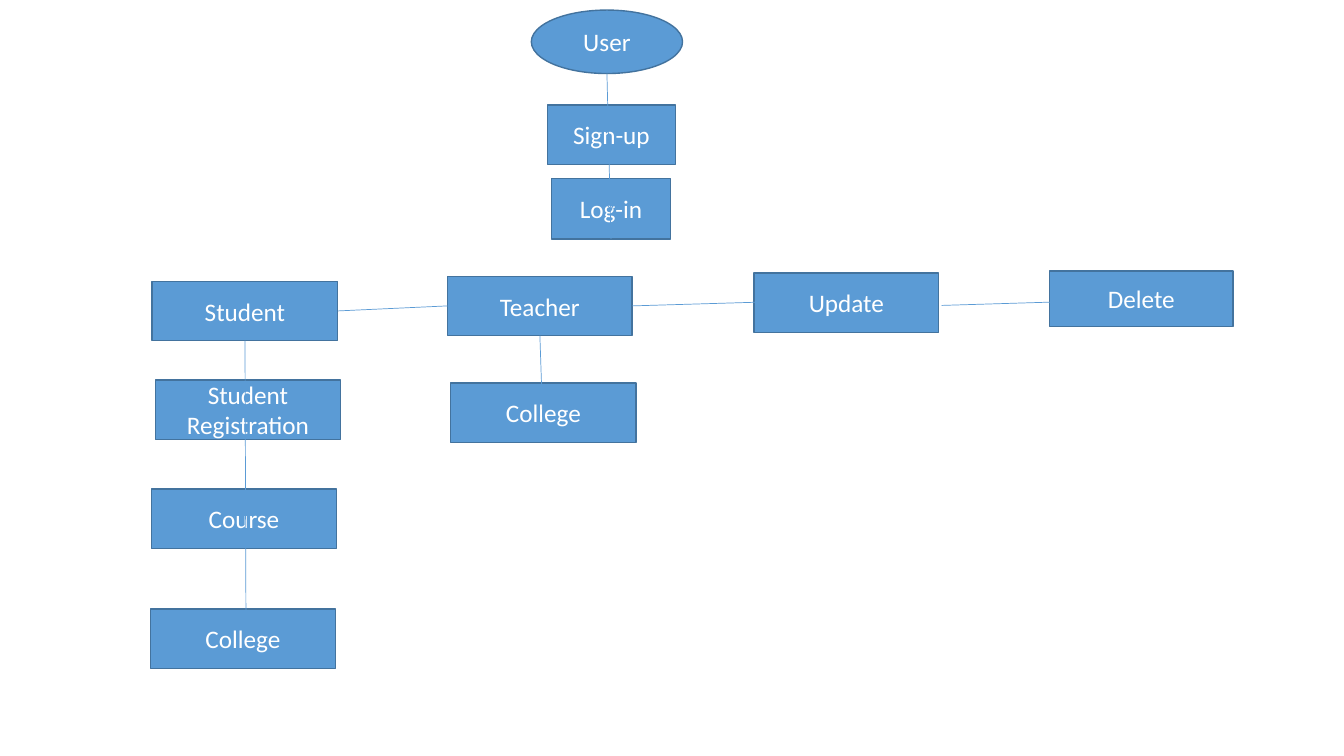
from lxml import etree
from pptx import Presentation
from pptx import util as u
from pptx.dml.color import RGBColor
from pptx.enum import shapes, text
from pptx.oxml import ns

BLUE = RGBColor(0x5B, 0x9B, 0xD5)
EDGE = RGBColor(0x43, 0x73, 0x9E)
WHITE = RGBColor(0xFF, 0xFF, 0xFF)
RECT = shapes.MSO_SHAPE.RECTANGLE
OVAL = shapes.MSO_SHAPE.OVAL
BOTTOM, LEFT, RIGHT = 2, 1, 3


def add_node(slide, label, x, y, w=1.84, h=0.59, form=RECT):
    node = slide.shapes.add_shape(form, *map(u.Inches, (x, y, w, h)))
    node.shadow.inherit = False
    node.fill.solid()
    node.fill.fore_color.rgb = BLUE
    node.line.color.rgb = EDGE
    node.line.width = u.Pt(1)
    frame = node.text_frame
    frame.word_wrap = True
    frame.vertical_anchor = text.MSO_ANCHOR.MIDDLE
    para = frame.paragraphs[0]
    para.alignment = text.PP_ALIGN.CENTER
    run = para.add_run()
    run.text = label
    run.font.name = "Calibri"
    run.font.size = u.Pt(18)
    run.font.color.rgb = WHITE
    return node


def add_link(slide, start, end, source=None, target=None, arrow=False):
    link = slide.shapes.add_connector(
        shapes.MSO_CONNECTOR.STRAIGHT, *map(u.Inches, start + end))
    link.line.color.rgb = BLUE
    link.line.width = u.Pt(0.5)
    if source:
        link.begin_connect(*source)
    if target:
        link.end_connect(*target)
    if arrow:
        tail = etree.SubElement(link.line._get_or_add_ln(), ns.qn("a:tailEnd"))
        tail.set("type", "arrow")
    etree.SubElement(link._element.spPr, ns.qn("a:effectLst"))


def main():
    deck = Presentation()
    deck.slide_width, deck.slide_height = u.Inches(13.33), u.Inches(7.5)
    slide = deck.slides.add_slide(deck.slide_layouts[6])

    add_node(slide, "Sign-up", 5.43, 1.04, 1.27)
    login = add_node(slide, "Log-in", 5.47, 1.77, 1.18, 0.6)
    student = add_node(slide, "Student", 1.51, 2.79)
    teacher = add_node(slide, "Teacher", 4.44, 2.74, 1.83)
    add_node(slide, "Update", 7.48, 2.71, 1.83)
    add_node(slide, "Delete", 10.41, 2.69, 1.82, 0.55)
    add_node(slide, "Student Registration", 1.54, 3.77)
    add_node(slide, "Course", 1.5, 4.85)
    add_node(slide, "College", 1.49, 6.04)
    add_node(slide, "College", 4.47, 3.8)
    add_node(slide, "User", 5.27, 0.1, 1.5, 0.63, OVAL)

    add_link(slide, (6.01, 1.89), (6.07, 2.09), arrow=True)
    add_link(slide, (2.44, 3.37), (2.44, 6.27), (student, BOTTOM))
    add_link(slide, (5.36, 3.33), (5.39, 4.38), (teacher, BOTTOM))
    add_link(slide, (3.36, 3.08), (4.44, 3.04), (student, RIGHT), (teacher, LEFT))
    add_link(slide, (6.27, 3.04), (7.79, 2.99), (teacher, RIGHT))
    add_link(slide, (9.34, 3.03), (10.67, 2.99))
    add_link(slide, (6.02, 0.73), (6.06, 2.37), target=(login, BOTTOM))

    deck.save("out.pptx")


if __name__ == "__main__":
    main()
